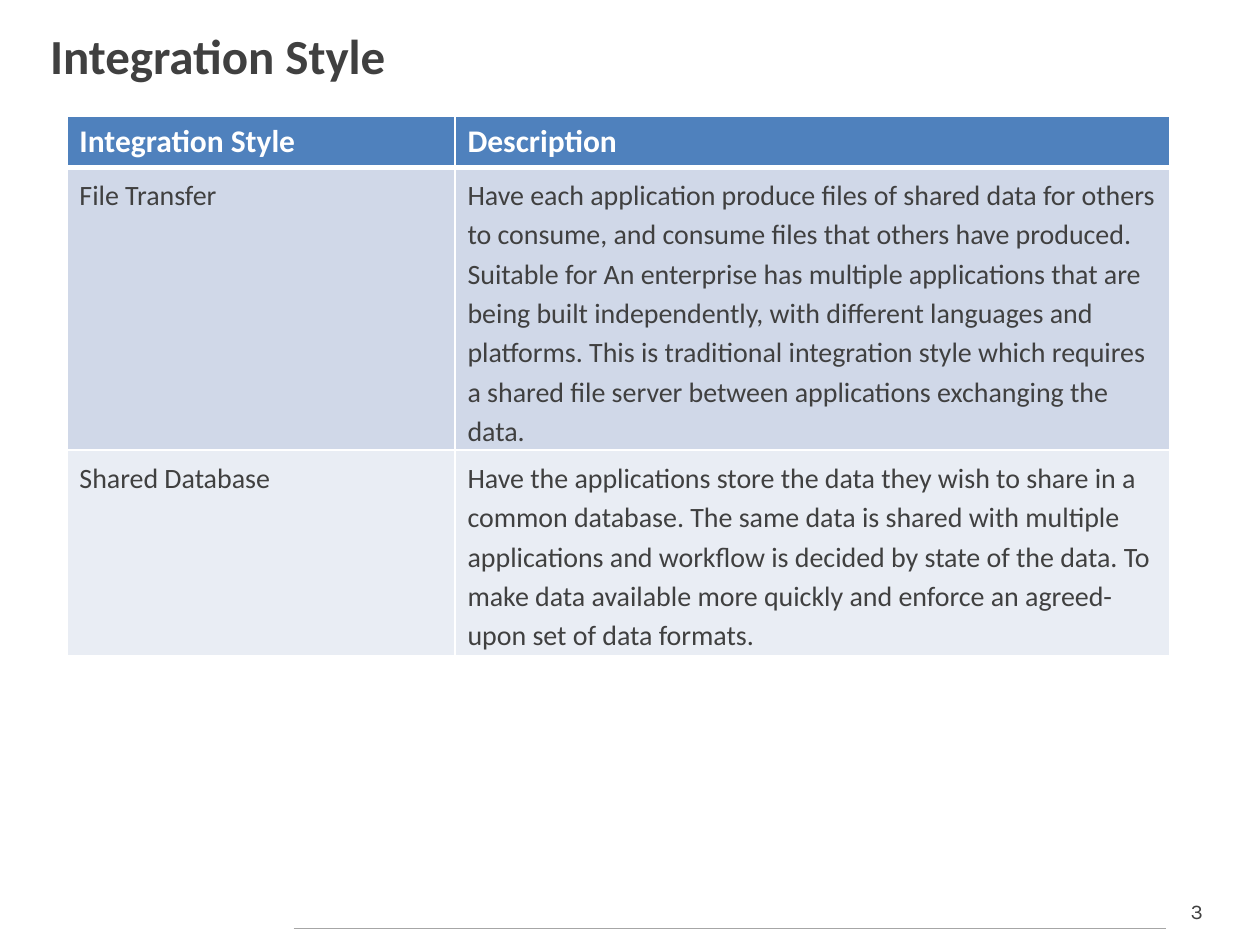
import pptx
import pptx.dml.color
import pptx.enum.shapes
import pptx.enum.text
import pptx.oxml
import pptx.oxml.ns
import pptx.util

Pt = pptx.util.Pt
RGB = pptx.dml.color.RGBColor.from_string
ALIGN = pptx.enum.text.PP_ALIGN
ANCHOR = pptx.enum.text.MSO_ANCHOR

COLORS = {"text": "404040", "white": "FFFFFF", "rule": "A6A6A6",
          "header": "4F81BD", "odd": "D0D8E8", "even": "E9EDF4"}
TITLE = {"name": "Calibri", "size": Pt(28), "bold": True}
HEADER = {"name": "Calibri", "size": Pt(18), "bold": True}
BODY = {"name": "Calibri", "size": Pt(16), "bold": False}
NUMBER = {"name": "Karla", "size": Pt(12), "bold": False}


def write(frame, text, font_format, color, **paragraph_format):
    paragraph = frame.paragraphs[0]
    for name, value in paragraph_format.items():
        setattr(paragraph, name, value)
    run = paragraph.add_run()
    run.text = text
    for name, value in font_format.items():
        setattr(run.font, name, value)
    run.font.color.rgb = RGB(COLORS[color])


def add_border(cell, side, width):
    border = pptx.oxml.parse_xml(
        f'<a:{side} {pptx.oxml.ns.nsdecls("a")} w="{Pt(width)}"><a:solidFill>'
        f'<a:srgbClr val="{COLORS["white"]}"/></a:solidFill></a:{side}>')
    cell._tc.get_or_add_tcPr().append(border)


presentation = pptx.Presentation()
presentation.slide_width, presentation.slide_height = Pt(720), Pt(540)
slide = presentation.slides.add_slide(presentation.slide_layouts[6])

# Footer rule
rule = slide.shapes.add_connector(
    pptx.enum.shapes.MSO_CONNECTOR.STRAIGHT, Pt(167.8), Pt(530.6), Pt(666), Pt(530.6))
rule.line.color.rgb = RGB(COLORS["rule"])
rule.line.width = Pt(0.75)
rule._element.spPr.append(
    pptx.oxml.parse_xml(f'<a:effectLst {pptx.oxml.ns.nsdecls("a")}/>'))

# Title and page number
for text, box, font_format, alignment, anchor in [
    ("Integration Style", (21.6, 8.6, 673.9, 45.4), TITLE, ALIGN.LEFT, ANCHOR.MIDDLE),
    ("3", (666, 509.8, 36, 21.6), NUMBER, ALIGN.CENTER, ANCHOR.TOP),
]:
    frame = slide.shapes.add_textbox(*map(Pt, box)).text_frame
    frame.word_wrap = True
    frame.vertical_anchor = anchor
    write(frame, text, font_format, "text", alignment=alignment)

# Table of integration styles; body rows grow to fit their text
rows = [
    ("Integration Style", "Description"),
    ("File Transfer",
     "Have each application produce files of shared data for others to consume, "
     "and consume files that others have produced. Suitable for An enterprise has "
     "multiple applications that are being built independently, with different "
     "languages and platforms. This is traditional integration style which requires "
     "a shared file server between applications exchanging the data."),
    ("Shared Database",
     "Have the applications store the data they wish to share in a common database. "
     "The same data is shared with multiple applications and workflow is decided by "
     "state of the data. To make data available more quickly and enforce an "
     "agreed-upon set of data formats."),
]
table = slide.shapes.add_table(
    len(rows), 2, Pt(38.2), Pt(66.2), Pt(630), Pt(88.5)).table
for column, width in zip(table.columns, (221.8, 408.2)):
    column.width = Pt(width)

for row_index, texts in enumerate(rows):
    is_header = row_index == 0
    fill = "header" if is_header else ("even", "odd")[row_index % 2]
    for column_index, text in enumerate(texts):
        cell = table.cell(row_index, column_index)
        if is_header:
            write(cell.text_frame, text, HEADER, "white")
        else:
            write(cell.text_frame, text, BODY, "text", line_spacing=1.15)
        for side in ("lnL", "lnR", "lnT", "lnB"):
            thick = (row_index, side) in [(0, "lnB"), (1, "lnT")]
            add_border(cell, side, 3 if thick else 1)
        cell.fill.solid()
        cell.fill.fore_color.rgb = RGB(COLORS[fill])

presentation.save("out.pptx")
